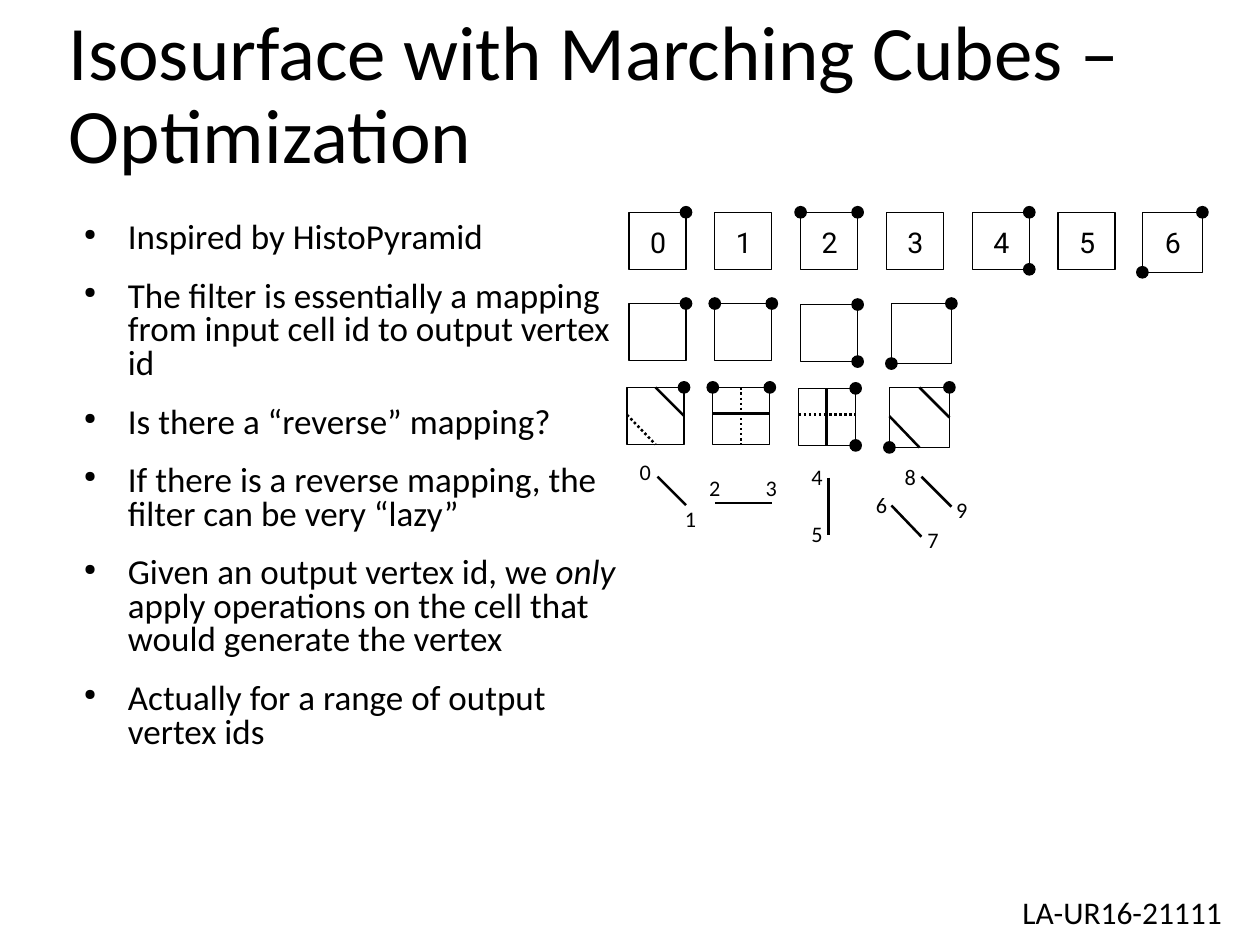
import lxml.etree
import pptx
import pptx.dml.color
import pptx.enum.dml
import pptx.enum.shapes
import pptx.enum.text
import pptx.oxml.ns
import pptx.util

Cm = pptx.util.Cm
Pt = pptx.util.Pt
BLACK = pptx.dml.color.RGBColor(0, 0, 0)
CENTER = pptx.enum.text.PP_ALIGN.CENTER
MIDDLE = pptx.enum.text.MSO_ANCHOR.MIDDLE
SHAPES = pptx.enum.shapes.MSO_SHAPE

PITCH, CELL, WIDE_CELL, DOT = 1.73, 1.15, 1.21, 0.23
CELL_ROW, ACTIVE_ROW, CONTOUR_ROW, SEGMENT_ROW = 0, 1.84, 3.53, 5.33

BULLETS = [
    ["Inspired by HistoPyramid"],
    ["The filter is essentially a mapping from input cell id to output vertex id"],
    ["Is there a “reverse” mapping?"],
    ["If there is a reverse mapping, the filter can be very “lazy”"],
    ["Given an output vertex id, we ", "only",
     " apply operations on the cell that would generate the vertex"],
    ["Actually for a range of output vertex ids"],
]

# Corners and edges in fractions of a cell, measured from its top left
TOP_LEFT, TOP_RIGHT, BOTTOM_LEFT, BOTTOM_RIGHT = (0, 0), (1, 0), (0, 1), (1, 1)
UPPER = (0.5, 0, 1, 0.5)
LOWER = (0, 0.48, 0.5, 1)
ACROSS = (0, 0.46, 1, 0.46)
DOWN = (0.49, 0, 0.49, 1)

# Each active cell: input column, size, shift, corners, contours, dotted
# alternatives, and its vertex ids with their centres in cm from the cell
CASES = [
    (0, CELL, 0, [TOP_RIGHT], [UPPER], [LOWER],
     [("0", 0.33, -0.1), ("1", 1.24, 0.84)]),
    (2, CELL, 0, [TOP_LEFT, TOP_RIGHT], [ACROSS], [DOWN],
     [("2", 0, 0.23), ("3", 1.14, 0.23)]),
    (4, CELL, 0.02, [TOP_RIGHT, BOTTOM_RIGHT], [DOWN], [ACROSS],
     [("4", 0.33, -0.03), ("5", 0.33, 1.12)]),
    (6, WIDE_CELL, 0, [TOP_RIGHT, BOTTOM_LEFT], [UPPER, LOWER], [],
     [("6", -0.2, 0.56), ("7", 0.84, 1.27), ("8", 0.38, 0), ("9", 1.42, 0.66)]),
]


def style(para, size, face="Calibri"):
    para.font.size = Pt(size)
    para.font.name = face
    para.font.color.rgb = BLACK


def add_text(page, text, left, top, width, height, size, face="Calibri",
             align=CENTER, wrap=True):
    box = page.shapes.add_textbox(Cm(left), Cm(top), Cm(width), Cm(height))
    frame = box.text_frame
    frame.word_wrap = wrap
    frame.vertical_anchor = MIDDLE
    para = frame.paragraphs[0]
    para.text = text
    para.alignment = align
    style(para, size, face)
    return para


def add_digit(page, text, x, y, size, face="Calibri"):
    """Centre a digit on the given point."""
    side = 0.8
    add_text(page, text, x - side / 2, y - side / 2, side, side, size, face,
             wrap=False)


def add_outline(page, kind, left, top, size, filled=False):
    shape = page.shapes.add_shape(kind, Cm(left), Cm(top), Cm(size), Cm(size))
    shape.shadow.inherit = False
    shape.line.color.rgb = BLACK
    shape.line.width = Pt(0)
    if filled:
        shape.fill.solid()
        shape.fill.fore_color.rgb = BLACK
    else:
        shape.fill.background()


def add_cell(page, left, top, size, corners):
    """Draw a square cell with dots on its inside corners."""
    add_outline(page, SHAPES.RECTANGLE, left, top, size)
    for x, y in corners:
        add_outline(page, SHAPES.OVAL, left + x * size - DOT / 2,
                    top + y * size - DOT / 2, DOT, filled=True)


def add_segments(page, left, top, size, segments, dotted=False):
    for x1, y1, x2, y2 in segments:
        line = page.shapes.add_connector(
            pptx.enum.shapes.MSO_CONNECTOR.STRAIGHT,
            Cm(left + x1 * size), Cm(top + y1 * size),
            Cm(left + x2 * size), Cm(top + y2 * size))
        line.line.color.rgb = BLACK
        line.line.width = Pt(1.45)
        if dotted:
            line.line.dash_style = pptx.enum.dml.MSO_LINE.ROUND_DOT
        lxml.etree.SubElement(line._element.spPr,
                              pptx.oxml.ns.qn("a:effectLst"))


def add_bullets(page, left, top, width, height):
    box = page.shapes.add_textbox(Cm(left), Cm(top), Cm(width), Cm(height))
    frame = box.text_frame
    frame.word_wrap = True
    for index, parts in enumerate(BULLETS):
        para = frame.add_paragraph() if index else frame.paragraphs[0]
        for number, part in enumerate(parts):
            span = para.add_run()
            span.text = part
            if number == 1:
                span.font.italic = True
        para.line_spacing = 0.8
        para.space_after = Pt(14.2)
        properties = para._p.get_or_add_pPr()
        properties.set("marL", str(Cm(1.19)))
        properties.set("indent", str(Cm(-0.89)))
        for tag, key, value in (("a:buSzPct", "val", "45000"),
                                ("a:buChar", "char", "●")):
            lxml.etree.SubElement(properties, pptx.oxml.ns.qn(tag)).set(key, value)
        style(para, 20)


def add_marching_cells(page, left, top):
    """Draw input cells, active cells, contours and output segments."""
    corners_by_column = {case[0]: case[3] for case in CASES}
    for column in range(7):
        size = WIDE_CELL if column == 6 else CELL
        x = left + column * PITCH - (size - CELL) / 2
        add_cell(page, x, top + CELL_ROW, size,
                 corners_by_column.get(column, []))
        add_digit(page, str(column), left + column * PITCH + CELL / 2,
                  top + 0.6, 16.3, "Roboto")

    for index, case in enumerate(CASES):
        _, size, shift, corners, contours, alternatives, vertices = case
        x = left + index * PITCH + (0.1 if size == WIDE_CELL else 0)
        add_cell(page, x, top + ACTIVE_ROW + shift, size, corners)

        contour_x, contour_y = x - 0.04, top + CONTOUR_ROW + shift
        add_cell(page, contour_x, contour_y, size, corners)
        add_segments(page, contour_x, contour_y, size, contours)
        add_segments(page, contour_x, contour_y, size, alternatives, dotted=True)

        segment_y = top + SEGMENT_ROW + shift
        add_segments(page, x, segment_y, size, contours)
        for text, dx, dy in vertices:
            add_digit(page, text, x + dx, segment_y + dy, 12.7)


def main():
    deck = pptx.Presentation()
    deck.slide_width, deck.slide_height = Cm(25.4), Cm(19.05)
    page = deck.slides.add_slide(deck.slide_layouts[6])

    # Title
    title = add_text(page, "Isosurface with Marching Cubes – Optimization",
                     1.14, 0.15, 23.04, 3.63, 44,
                     align=pptx.enum.text.PP_ALIGN.LEFT)
    title.line_spacing = 0.9

    # Body and diagram
    add_bullets(page, 1.14, 4.37, 11.56, 11.48)
    add_marching_cells(page, 12.68, 4.28)

    # Report number
    add_text(page, "LA-UR16-21111", 20.02, 17.88, 5.21, 1.02, 18)
    deck.save("out.pptx")


if __name__ == "__main__":
    main()
